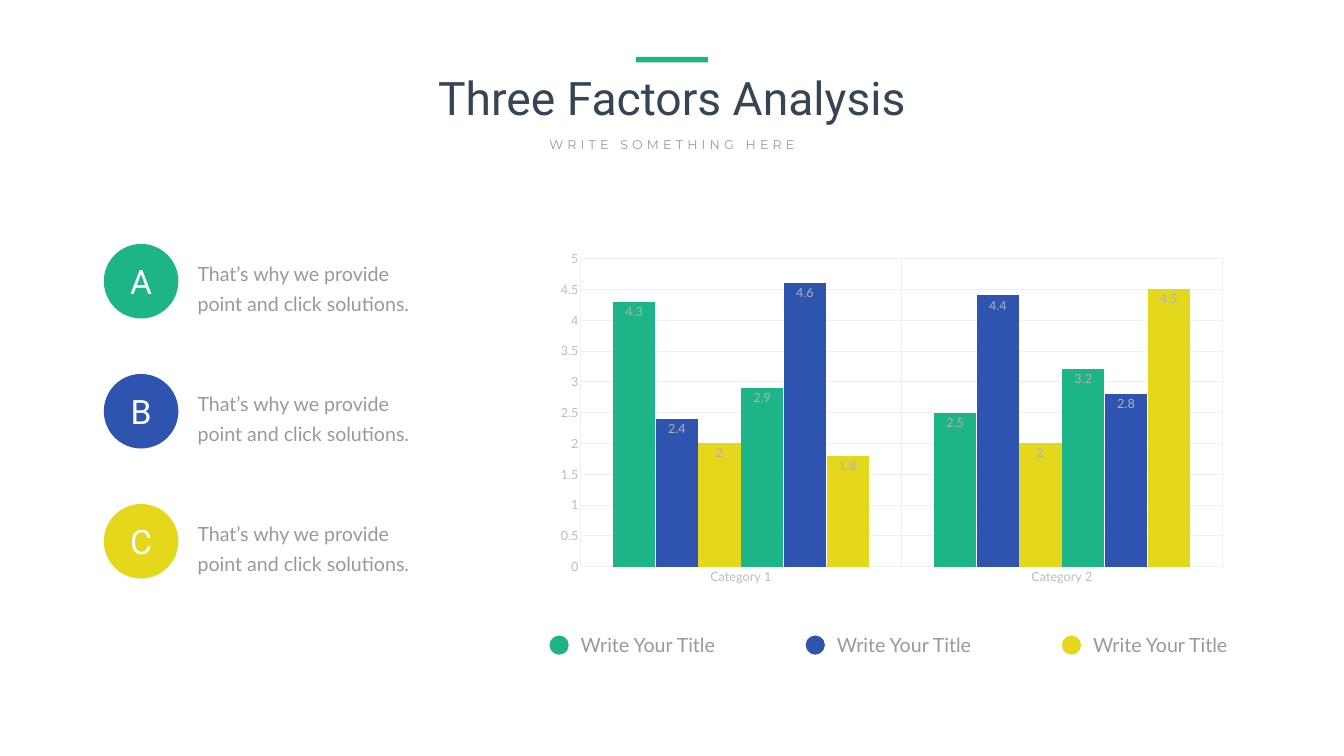
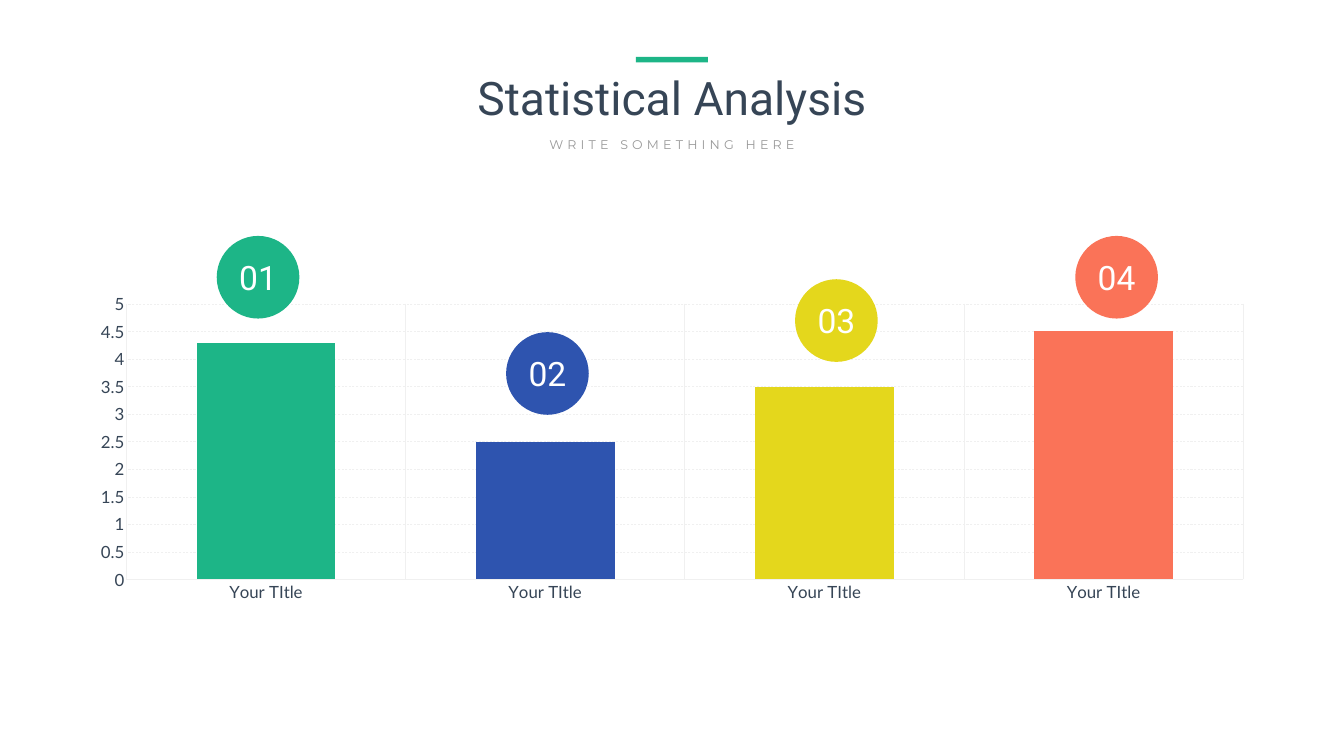
from dataclasses import dataclass

from pptx import Presentation
from pptx.chart.data import CategoryChartData
from pptx.dml.color import RGBColor
from pptx.enum.chart import XL_CHART_TYPE as ChartType
from pptx.enum.chart import XL_LABEL_POSITION as LabelPosition
from pptx.enum.chart import XL_TICK_MARK as TickMark
from pptx.enum.dml import MSO_LINE as LineDash
from pptx.enum.shapes import MSO_SHAPE as Shape
from pptx.enum.text import MSO_AUTO_SIZE as AutoSize
from pptx.enum.text import PP_ALIGN as Align
from pptx.util import Inches, Pt

WIDTH, HEIGHT = Inches(26.66), Inches(15)


@dataclass(frozen=True)
class Theme:
    """Colours, fonts and type sizes shared by the slides."""
    green: str = "1DB587"
    blue: str = "2E54AF"
    yellow: str = "E4D71C"
    coral: str = "FA7358"
    dark: str = "364556"
    grey: str = "999999"
    label: str = "B2B2B2"
    axis: str = "BDBDBD"
    grid: str = "F0F0F0"
    white: str = "FFFFFF"
    heading: str = "Roboto"
    tagline: str = "Montserrat"
    body: str = "Lato"
    title_size: int = 66
    badge_size: int = 48
    body_size: int = 28
    axis_size: int = 24
    small_size: int = 18


THEME = Theme()
ACCENTS = (THEME.green, THEME.blue, THEME.yellow, THEME.coral)


def across(share):
    """Turn a percentage of the slide width into a length."""
    return round(WIDTH * share / 100)


def down(share):
    """Turn a percentage of the slide height into a length."""
    return round(HEIGHT * share / 100)


def style_font(font, name, size, color):
    """Set the family, size and colour of a font."""
    font.name, font.size = name, Pt(size)
    font.color.rgb = RGBColor.from_string(color)


def add_text(page, text, left, middle, width, height, name, size, color,
             align=None, leading=None, tracking=None):
    """Add a one-paragraph text box centred vertically on a given height."""
    box = page.shapes.add_textbox(across(left), down(middle - height / 2),
                                  across(width), down(height))
    frame = box.text_frame
    frame.word_wrap = True
    frame.auto_size = AutoSize.SHAPE_TO_FIT_TEXT
    para = frame.paragraphs[0]
    para.alignment = align
    if leading:
        para.line_spacing = Pt(leading)
    span = para.add_run()
    span.text = text
    style_font(span.font, name, size, color)
    if tracking:
        span.font._element.set("spc", str(tracking * 100))


def add_solid(page, kind, left, top, width, height, color):
    """Add a flat shape without outline or shadow."""
    shape = page.shapes.add_shape(kind, left, top, width, height)
    shape.shadow.inherit = False
    shape.fill.solid()
    shape.fill.fore_color.rgb = RGBColor.from_string(color)
    shape.line.fill.background()


def add_circle(page, center, middle, diameter, color):
    """Add a circle whose diameter is a share of the slide width."""
    size = across(diameter)
    add_solid(page, Shape.OVAL, across(center) - size // 2,
              down(middle) - size // 2, size, size, color)


def add_badge(page, label, center, middle, diameter, color):
    """Add a circle with a short white label in it."""
    add_circle(page, center, middle, diameter, color)
    width = diameter * 0.6
    add_text(page, label, center - width / 2, middle, width, 6.07,
             THEME.heading, THEME.badge_size, THEME.white, Align.CENTER)


def add_header(page, title):
    """Add the accent bar, the title and the tagline."""
    add_text(page, title, 29, 12.83, 42, 8.07, THEME.heading,
             THEME.title_size, THEME.dark, Align.CENTER)
    add_text(page, "WRITE SOMETHING HERE", 38.82, 19.07, 22.36, 2.67,
             THEME.tagline, THEME.small_size, THEME.grey, Align.CENTER,
             tracking=6)
    add_solid(page, Shape.RECTANGLE, across(47.32), down(7.53),
              across(5.36), down(0.73), THEME.green)


def style_line(line, dash=None):
    """Draw a thin pale line."""
    line.color.rgb = RGBColor.from_string(THEME.grid)
    line.width = Pt(0.75)
    if dash:
        line.dash_style = dash


def add_columns(page, place, categories, rows, gap, overlap, size, color,
                dash=None):
    """Add a clustered column chart with a pale grid and a 0 to 5 scale."""
    data = CategoryChartData()
    data.categories = categories
    for number, values in enumerate(rows, 1):
        data.add_series(f"Series {number}", values)
    left, top, width, height = place
    chart = page.shapes.add_chart(
        ChartType.COLUMN_CLUSTERED, across(left), down(top), across(width),
        down(height), data).chart
    chart.has_legend = chart.has_title = False
    style_font(chart.font, THEME.body, size, THEME.grey)
    for axis in (chart.category_axis, chart.value_axis):
        axis.major_tick_mark = axis.minor_tick_mark = TickMark.NONE
        axis.has_major_gridlines = True
        style_font(axis.tick_labels.font, THEME.body, size, color)
    style_line(chart.category_axis.format.line)
    style_line(chart.category_axis.major_gridlines.format.line)
    style_line(chart.value_axis.major_gridlines.format.line, dash)
    chart.value_axis.format.line.fill.background()
    chart.value_axis.minimum_scale, chart.value_axis.maximum_scale = 0, 5
    chart.value_axis.major_unit = 0.5
    plot = chart.plots[0]
    plot.vary_by_categories = False
    plot.gap_width, plot.overlap = gap, overlap
    return plot


def paint(item, color):
    """Fill a series or a point with one colour."""
    item.format.fill.solid()
    item.format.fill.fore_color.rgb = RGBColor.from_string(color)


def label_series(series):
    """Show the values inside the ends of the columns."""
    labels = series.data_labels
    labels.show_value = True
    labels.position = LabelPosition.INSIDE_END
    style_font(labels.font, THEME.body, THEME.small_size, THEME.label)


def add_factor(page, row, letter, color):
    """Add one lettered factor with its sentence."""
    middle = 37.2 + 17.2 * row
    add_badge(page, letter, 10.5, middle, 5.55, color)
    add_text(page, "That’s why we provide point and click solutions.",
             14.33, middle, 17.22, 7.47, THEME.body, THEME.body_size,
             THEME.grey, leading=43)


def add_legend_entry(page, column, color):
    """Add one dot and title below the chart."""
    center = 41.6 + 19.06 * column
    add_text(page, "Write Your Title", center + 1.24, 85.3, 11.33, 3.8,
             THEME.body, THEME.body_size, THEME.grey)
    add_circle(page, center, 85.33, 1.43, color)


def build_factors(page):
    """Build the slide with three factors and a grouped chart."""
    add_header(page, "Three Factors Analysis")
    rows = ((4.3, 2.5), (2.4, 4.4), (2, 2), (2.9, 3.2), (4.6, 2.8), (1.8, 4.5))
    plot = add_columns(page, (40.7, 32.27, 51.28, 45.87),
                       ("Category 1", "Category 2"), rows, 154, -1,
                       THEME.small_size, THEME.axis)
    for index, series in enumerate(plot.series):
        series.invert_if_negative = False
        paint(series, ACCENTS[index % 3])
        label_series(series)
    for index, (letter, color) in enumerate(zip("ABC", ACCENTS)):
        add_legend_entry(page, index, color)
        add_factor(page, index, letter, color)


def build_statistics(page):
    """Build the slide with four numbered columns."""
    add_header(page, "Statistical Analysis")
    plot = add_columns(page, (5.74, 38, 88.52, 42.47), ("Your TItle",) * 4,
                       ((4.3, 2.5, 3.5, 4.5),), 101, 100,
                       THEME.axis_size, THEME.dark, LineDash.DASH)
    series = plot.series[0]
    series.invert_if_negative = False
    paint(series, THEME.green)
    centers = ((19.2, 36.67), (40.73, 49.4), (62.23, 42.4), (83.08, 36.67))
    for index, (color, center) in enumerate(zip(ACCENTS, centers)):
        if index:
            paint(series.points[index], color)
        add_badge(page, f"{index + 1:02}", *center, 6.15, color)


def main():
    """Build and save the deck."""
    deck = Presentation()
    deck.slide_width, deck.slide_height = WIDTH, HEIGHT
    for build in (build_factors, build_statistics):
        build(deck.slides.add_slide(deck.slide_layouts[6]))
    deck.save("out.pptx")


if __name__ == "__main__":
    main()
